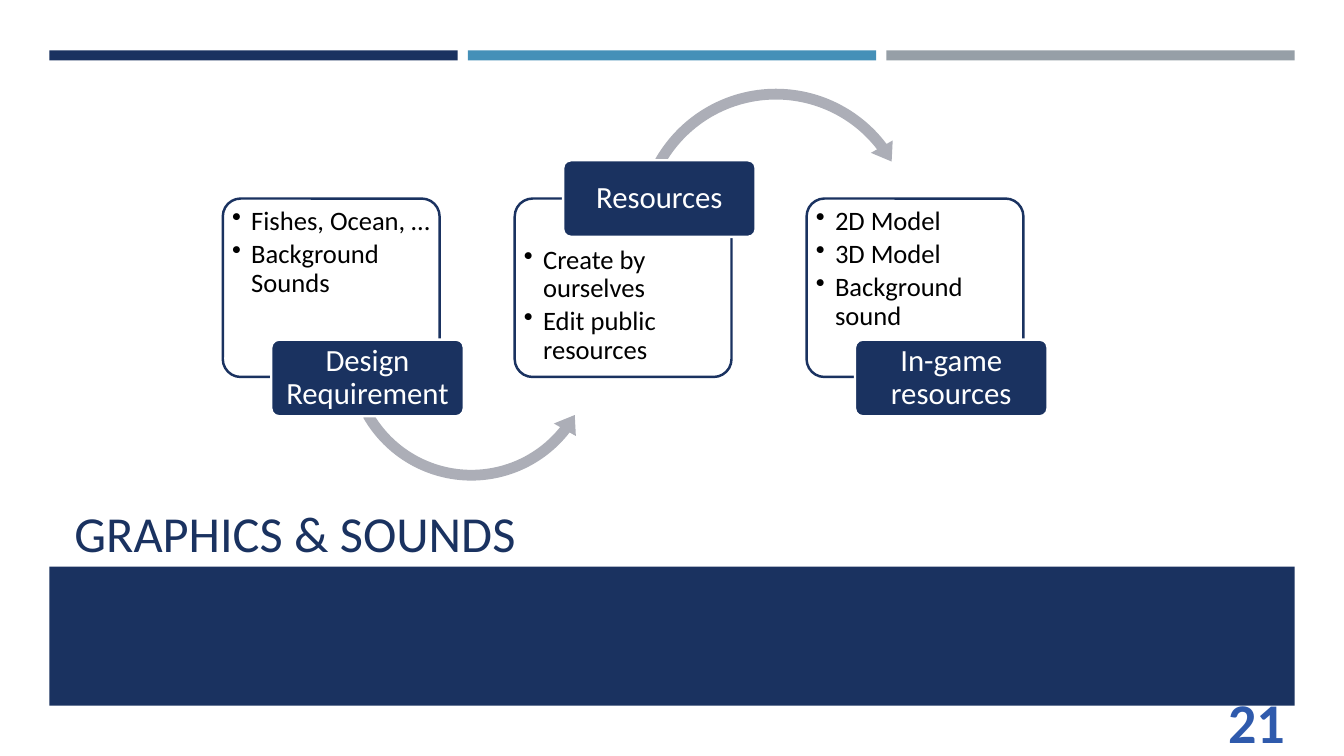
from dataclasses import dataclass

from lxml.etree import SubElement
from pptx import Presentation
from pptx.dml.color import RGBColor as RGB
from pptx.enum.shapes import MSO_SHAPE as SHAPE
from pptx.enum.text import MSO_ANCHOR as ANCHOR, PP_ALIGN as ALIGN
from pptx.oxml.ns import qn
from pptx.util import Inches, Pt

CELL = 0.1  # side of one grid cell, inches
NAVY, BLUE, GREY, WHITE = "1A3260", "4590B8", "969FA7", "FFFFFF"
ARROW_GREY, BLACK, NUMBER_BLUE = "ACAEB7", "000000", "2F5AAC"


@dataclass
class Box:
    """Left, top, width and height in grid cells."""
    col: float
    row: float
    cols: float
    rows: float

    def emu(self) -> list:
        return [grid(v) for v in (self.col, self.row, self.cols, self.rows)]


@dataclass
class Arrow:
    kind: SHAPE
    box: Box
    adjust: tuple


@dataclass
class Step:
    label: str
    items: tuple
    label_on_top: bool = False
    arrow: Arrow | None = None


STEPS = [
    Step("Design Requirement", ("Fishes, Ocean, …", "Background Sounds"),
         arrow=Arrow(SHAPE.LEFT_CIRCULAR_ARROW, Box(33.7, 22.3, 26.1, 26.1),
                     (0.041, 5.142, 22.897, 90.245, 0.048))),
    Step("Resources", ("Create by ourselves", "Edit public resources"), True,
         Arrow(SHAPE.CIRCULAR_ARROW, Box(62.5, 8.1, 28.9, 28.9),
               (0.037, 4.61, 193.635, 125.755, 0.043))),
    Step("In-game resources", ("2D Model", "3D Model", "Background sound")),
]


def grid(cells: float) -> int:
    return Inches(cells * CELL)


def color(hex_code: str) -> RGB:
    return RGB.from_string(hex_code)


def add_shape(s, kind, box: Box, fill: str, line: str = "", adjust=()):
    sp = s.shapes.add_shape(kind, *box.emu())
    sp.shadow.inherit = False
    sp.fill.solid()
    sp.fill.fore_color.rgb = color(fill)
    if line:
        sp.line.color.rgb = color(line)
        sp.line.width = Pt(1.75)
    else:
        sp.line.fill.background()
    for i, value in enumerate(adjust):
        sp.adjustments[i] = value
    return sp


def write(sp, lines, size: float, ink: str, anchor, align, insets=(),
          bold: bool = False, bullets: bool = False, para=None) -> None:
    tf = sp.text_frame
    tf.word_wrap = True
    tf.vertical_anchor = anchor
    for side, cells in zip(("left", "top", "right", "bottom"), insets):
        setattr(tf, f"margin_{side}", grid(cells))
    for i, text in enumerate(lines):
        p = tf.add_paragraph() if i else tf.paragraphs[0]
        for name, value in {"alignment": align, **(para or {})}.items():
            setattr(p, name, value)
        if bullets:
            pPr = p._p.get_or_add_pPr()
            pPr.set("marL", str(grid(1.9)))
            pPr.set("indent", str(-grid(1.9)))
            SubElement(pPr, qn("a:buChar"), char="•")
        r = p.add_run()
        r.text = text
        font = {"name": "Calibri", "size": Pt(size), "bold": bold}
        for name, value in font.items():
            setattr(r.font, name, value)
        r.font.color.rgb = color(ink)


def add_step(s, step: Step, col: float) -> None:
    # Card with its bullet list
    card = add_shape(s, SHAPE.ROUNDED_RECTANGLE, Box(col, 19.7, 21.5, 17.7),
                     WHITE, NAVY, (0.1,))
    rgb = card.fill._xPr.find(qn("a:solidFill"))[0]
    SubElement(rgb, qn("a:alpha"), val="90000")
    top = 4.2 if step.label_on_top else 0.4
    write(card, step.items, 19, BLACK, ANCHOR.TOP, ALIGN.LEFT,
          (0.4, top, 0, 0.4), bullets=True,
          para={"line_spacing": 0.9, "space_after": Pt(3)})
    # Arrow to the next step, behind the label
    if step.arrow:
        add_shape(s, step.arrow.kind, step.arrow.box, ARROW_GREY,
                  adjust=step.arrow.adjust)
    # Label on the card's edge
    row = 15.9 if step.label_on_top else 33.7
    label = add_shape(s, SHAPE.ROUNDED_RECTANGLE,
                      Box(col + 4.8, row, 19.1, 7.6), NAVY, WHITE, (0.1,))
    write(label, [step.label], 22, WHITE, ANCHOR.MIDDLE, ALIGN.CENTER,
          (0.5, 0.3, 0.5, 0.3), para={"line_spacing": 0.9})


def main() -> None:
    prs = Presentation()
    prs.slide_width, prs.slide_height = Inches(13.33), Inches(7.5)
    s = prs.slides.add_slide(prs.slide_layouts[6])

    # Top stripes and bottom band
    for i, fill in enumerate((NAVY, BLUE, GREY)):
        add_shape(s, SHAPE.RECTANGLE, Box(4.9 + i * 41.5, 5, 40.5, 1), fill)
    add_shape(s, SHAPE.RECTANGLE, Box(4.9, 56.2, 123.5, 13.8), NAVY)

    # Title
    title = s.shapes.add_textbox(*Box(6.4, 39.9, 120.6, 16.4).emu())
    write(title, ["GRAPHICS & SOUNDS"], 36, NAVY, ANCHOR.BOTTOM, ALIGN.LEFT)

    # Process steps
    for i, step in enumerate(STEPS):
        add_step(s, step, 22.1 + i * 28.95)

    # Slide number
    number = s.shapes.add_textbox(*Box(116.9, 69.5, 11.5, 4).emu())
    write(number, ["21"], 40, NUMBER_BLUE, ANCHOR.MIDDLE, ALIGN.RIGHT,
          bold=True)

    prs.save("out.pptx")


if __name__ == "__main__":
    main()
